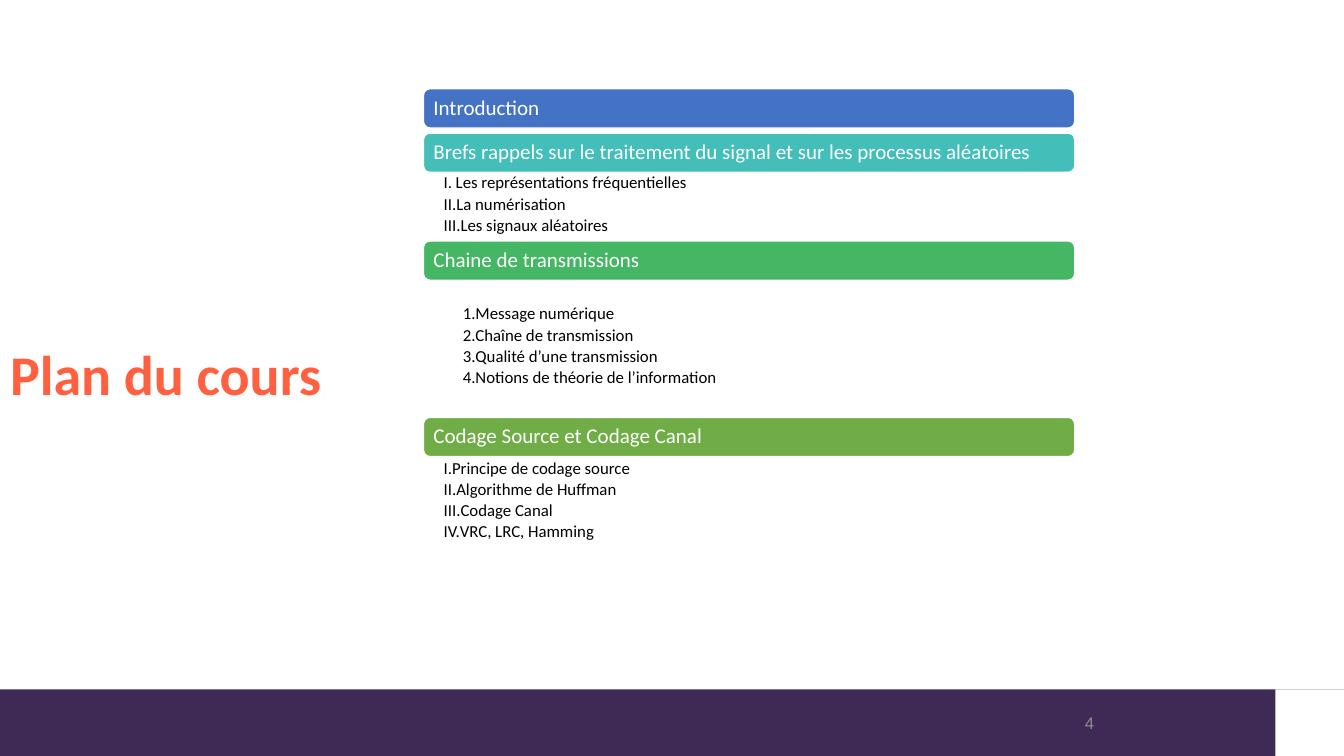
import pptx
import pptx.util
import pptx.dml.color
import pptx.enum.shapes
import pptx.enum.text
import pptx.oxml.ns
import lxml.etree

Inches = pptx.util.Inches
Pt = pptx.util.Pt
Kind = pptx.enum.shapes.MSO_SHAPE
Anchor = pptx.enum.text.MSO_ANCHOR
Align = pptx.enum.text.PP_ALIGN


def color(code):
    """Turn a hex string into a colour."""
    return pptx.dml.color.RGBColor.from_string(code)


def number(para, style, left, hang, font):
    """Number a paragraph automatically with a hanging indent."""
    props = para._p.get_or_add_pPr()
    props.set("marL", str(Inches(left)))
    props.set("indent", str(-Inches(hang)))
    qn = pptx.oxml.ns.qn
    lxml.etree.SubElement(props, qn("a:buFont")).set("typeface", font)
    lxml.etree.SubElement(props, qn("a:buAutoNum")).set("type", style)


class Page:
    """Holds the style and the current slide."""
    font = "Calibri"
    white = "FFFFFF"
    black = "000000"
    coral = "FF6140"
    plum = "3F2A56"
    gray = "8C8C8C"

    def __init__(self, slide):
        """Keep the slide to draw on."""
        self.slide = slide

    def place(self, item, box):
        """Move an element to left, top, width, height in inches."""
        item.left, item.top, item.width, item.height = map(Inches, box)

    def frame(self, item, anchor, pads):
        """Prepare the text frame of an element."""
        frame = item.text_frame
        frame.word_wrap = True
        frame.auto_size = pptx.enum.text.MSO_AUTO_SIZE.NONE
        frame.vertical_anchor = anchor
        (frame.margin_left, frame.margin_top,
         frame.margin_right, frame.margin_bottom) = map(Inches, pads)
        return frame

    def words(self, para, text, size, ink, bold=False, font=None):
        """Add one formatted run to a paragraph."""
        run = para.add_run()
        run.text = text
        run.font.name = font or self.font
        run.font.size = Pt(size)
        run.font.bold = bold
        run.font.color.rgb = color(ink)

    def shape(self, kind, box, fill, line=None):
        """Draw a filled preset shape."""
        item = self.slide.shapes.add_shape(kind, *map(Inches, box))
        item.shadow.inherit = False
        item.fill.solid()
        item.fill.fore_color.rgb = color(fill)
        if line:
            item.line.color.rgb = color(line)
            item.line.width = Pt(1)
        else:
            item.line.fill.background()
        return item

    def title(self, text, box):
        """Fill the title placeholder."""
        item = self.slide.shapes.title
        self.place(item, box)
        frame = self.frame(item, Anchor.MIDDLE, (0.1, 0.05, 0.1, 0.05))
        para = frame.paragraphs[0]
        para.alignment = Align.LEFT
        para.line_spacing = 0.9
        self.words(para, text, 40, self.coral, bold=True)

    def bar(self, text, box, fill):
        """Draw a rounded heading bar."""
        item = self.shape(Kind.ROUNDED_RECTANGLE, box, fill, self.white)
        frame = self.frame(item, Anchor.MIDDLE, (0.08, 0.06, 0.08, 0.06))
        para = frame.paragraphs[0]
        para.alignment = Align.LEFT
        para.line_spacing = 0.9
        self.words(para, text, 15, self.white)

    def steps(self, item, rows, box, style, left, hang):
        """Fill a body placeholder with a numbered list."""
        self.place(item, box)
        frame = self.frame(item, Anchor.TOP, (0.2, 0.02, 0.12, 0.02))
        for i, row in enumerate(rows):
            para = frame.add_paragraph() if i else frame.paragraphs[0]
            para.alignment = Align.LEFT
            para.line_spacing = 0.9
            para.space_before = Pt(0)
            para.space_after = Pt(2.2)
            number(para, style, left, hang, self.font)
            self.words(para, row, 12, self.black)

    def label(self, text, box):
        """Show the page number."""
        item = self.slide.shapes.add_textbox(*map(Inches, box))
        frame = self.frame(item, Anchor.MIDDLE, (0.1, 0.05, 0.1, 0.05))
        para = frame.paragraphs[0]
        para.alignment = Align.RIGHT
        self.words(para, text, 12, self.gray, font="Arial")


LEFT, WIDE, TALL = 4.2, 6.46, 0.39
ROMAN, DIGIT = "romanUcPeriod", "arabicPeriod"

# Heading, bar top, bar colour
BARS = [
    ("Introduction", 0.88, "4472C4"),
    ("Brefs rappels sur le traitement du signal et sur les processus "
     "aléatoires", 1.32, "43BEB9"),
    ("Chaine de transmissions", 2.39, "45B664"),
    ("Codage Source et Codage Canal", 4.14, "70AD47"),
]

# Rows, top, height, numbering, left margin, hanging indent
LISTS = [
    (["Les représentations fréquentielles", "La numérisation",
      "Les signaux aléatoires"], 1.71, 0.68, ROMAN, 0.12, 0.12),
    (["Message numérique", "Chaîne de transmission",
      "Qualité d’une transmission", "Notions de théorie de l’information"],
     3.01, 1.13, DIGIT, 0.31, 0.12),
    (["Principe de codage source", "Algorithme de Huffman", "Codage Canal",
      "VRC, LRC, Hamming"], 4.54, 0.9, ROMAN, 0.06, 0.06),
]

deck = pptx.Presentation()
deck.slide_width = Inches(13.33)
deck.slide_height = Inches(7.5)
page = Page(deck.slides.add_slide(deck.slide_layouts[4]))

page.shape(Kind.RECTANGLE, (0, 6.84, 13.33, 0.66), page.plum)
page.shape(Kind.RECTANGLE, (12.65, 6.84, 0.68, 0.66), page.white)
page.title("Plan du cours", (0, 1.27, 3.94, 4.95))

for text, top, fill in BARS:
    page.bar(text, (LEFT, top, WIDE, TALL), fill)

*bodies, spare = list(page.slide.placeholders)[1:]
spare.element.getparent().remove(spare.element)
for body, (rows, top, high, style, left, hang) in zip(bodies, LISTS):
    page.steps(body, rows, (LEFT, top, WIDE, high), style, left, hang)

page.label("4", (7.95, 6.97, 3, 0.4))
deck.save("out.pptx")
